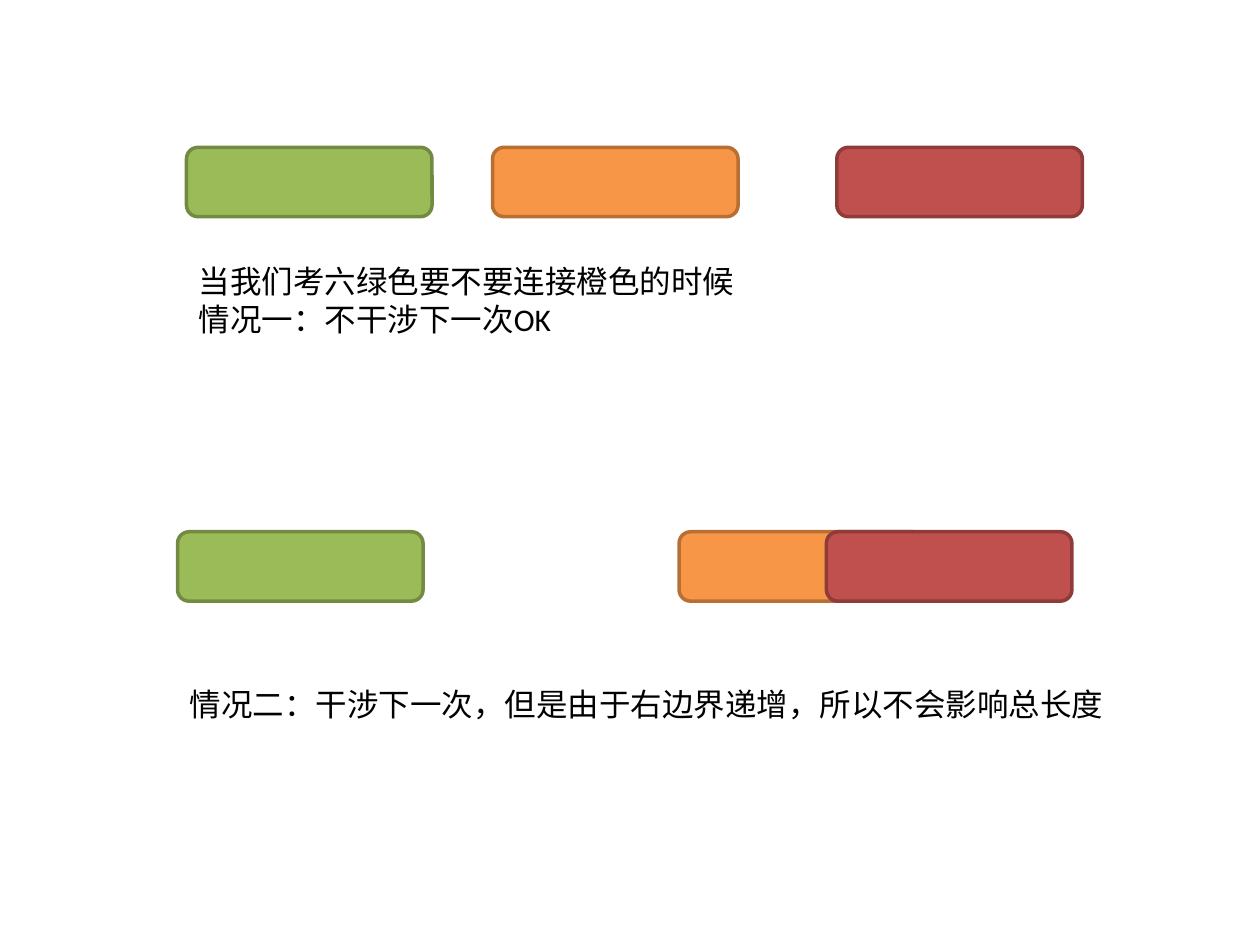
from pptx import Presentation
from pptx.dml.color import RGBColor
from pptx.enum.shapes import MSO_SHAPE
from pptx.enum.text import MSO_AUTO_SIZE
from pptx.util import Cm, Pt

BLACK = RGBColor(0x00, 0x00, 0x00)
GREEN = RGBColor(0x9B, 0xBB, 0x59), RGBColor(0x73, 0x8A, 0x42)
ORANGE = RGBColor(0xF7, 0x96, 0x46), RGBColor(0xB7, 0x6F, 0x34)
RED = RGBColor(0xC0, 0x50, 0x4D), RGBColor(0x8E, 0x3B, 0x39)

BAR_WIDTH, BAR_HEIGHT = 4.95, 1.4

CASES = [
    {
        "bar_top": 2.97,
        "bars": [(3.76, GREEN), (9.93, ORANGE), (16.87, RED)],
        "lines": ["当我们考六绿色要不要连接橙色的时候", "情况一：不干涉下一次OK"],
        "text_box": (3.76, 5.16, 11.4, 2.57),
    },
    {
        "bar_top": 10.72,
        "bars": [(3.58, GREEN), (13.69, ORANGE), (16.66, RED)],
        "lines": ["情况二：干涉下一次，但是由于右边界递增，所以不会影响总长度"],
        "text_box": (3.58, 13.69, 19.1, 1.8),
    },
]


def add_bar(slide, left, top, colors):
    bar = slide.shapes.add_shape(
        MSO_SHAPE.ROUNDED_RECTANGLE, Cm(left), Cm(top), Cm(BAR_WIDTH), Cm(BAR_HEIGHT)
    )
    fill, outline = colors
    bar.shadow.inherit = False
    bar.fill.solid()
    bar.fill.fore_color.rgb = fill
    bar.line.color.rgb = outline
    bar.line.width = Pt(2)


def add_text(slide, lines, box, size=18, font="Calibri", color=BLACK):
    frame = slide.shapes.add_textbox(*map(Cm, box)).text_frame
    frame.word_wrap = False
    frame.auto_size = MSO_AUTO_SIZE.SHAPE_TO_FIT_TEXT
    frame.text = "\n".join(lines)
    for paragraph in frame.paragraphs:
        for run in paragraph.runs:
            run.font.size = Pt(size)
            run.font.name = font
            run.font.color.rgb = color


def main():
    deck = Presentation()
    deck.slide_width, deck.slide_height = Cm(25.4), Cm(19.05)
    slide = deck.slides.add_slide(deck.slide_layouts[6])
    for case in CASES:
        for left, colors in case["bars"]:
            add_bar(slide, left, case["bar_top"], colors)
    for case in CASES:
        add_text(slide, case["lines"], case["text_box"])
    deck.save("out.pptx")


if __name__ == "__main__":
    main()
